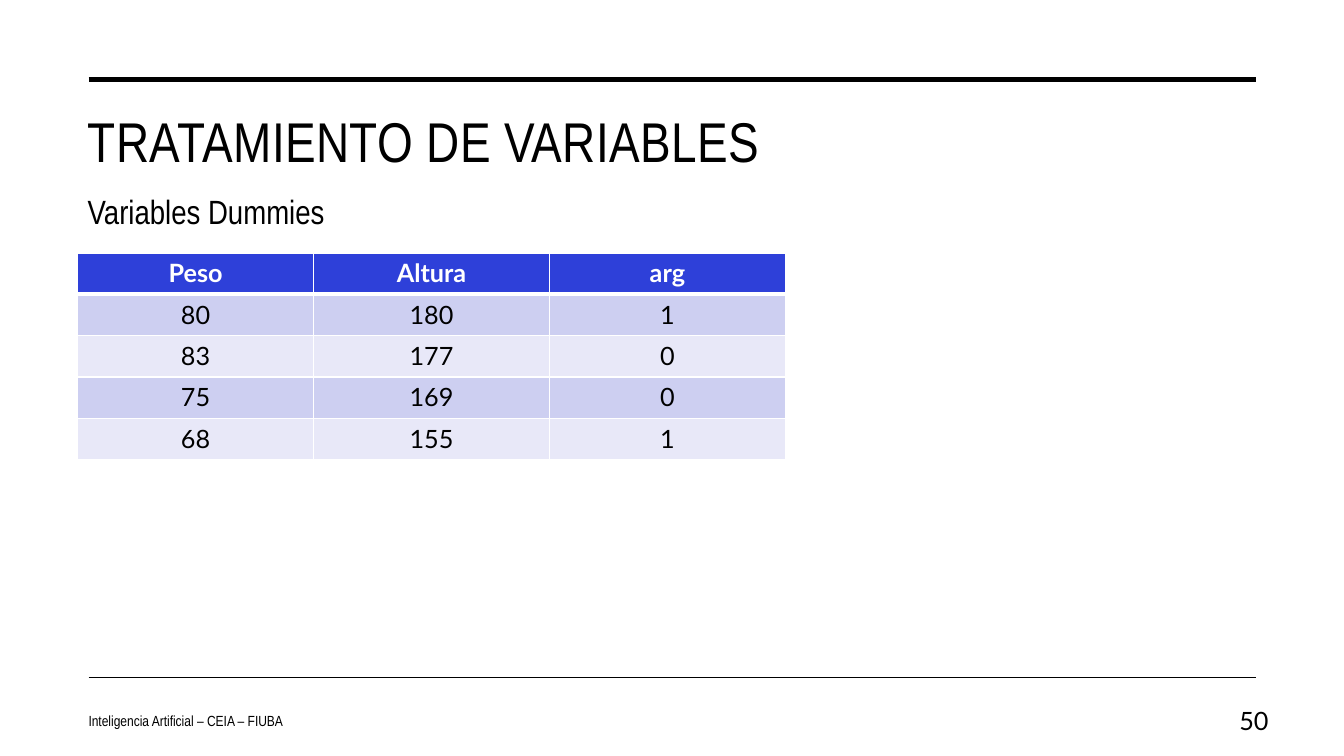
"""Build the slide about dummy variables with its data table."""
from dataclasses import dataclass

from lxml.etree import SubElement
from pptx import Presentation
from pptx.dml.color import RGBColor
from pptx.enum.shapes import MSO_CONNECTOR
from pptx.enum.text import MSO_ANCHOR, PP_ALIGN
from pptx.oxml.ns import qn
from pptx.slide import Slide
from pptx.table import _Cell
from pptx.util import Inches, Pt

BLACK, WHITE = "000000", "FFFFFF"
HEADER_FILL, BAND_FILLS = "2E40D9", ("CDCFF1", "E8E8F8")
NARROW, LATO = "Arial Narrow", "Lato"
COLUMN_WIDTH, ROW_HEIGHT = 2.34, 0.41
MEASUREMENTS = [
    ("Peso", "Altura", "arg"),
    ("80", "180", "1"),
    ("83", "177", "0"),
    ("75", "169", "0"),
    ("68", "155", "1"),
]


@dataclass
class Rule:
    top: float
    weight: float


@dataclass
class Label:
    text: str
    left: float
    top: float
    width: float
    height: float
    size: float
    font: str = NARROW
    align: PP_ALIGN = PP_ALIGN.LEFT
    anchor: MSO_ANCHOR = MSO_ANCHOR.MIDDLE
    space_after: float = 0


RULES = [Rule(0.79, 3.5), Rule(6.72, 1)]
LABELS = [
    Label("Inteligencia Artificial – CEIA – FIUBA", 0.78, 6.95, 4.96, 0.4, 10.5, space_after=6),
    Label("50", 11.94, 6.95, 0.74, 0.4, 18, LATO, PP_ALIGN.RIGHT),
    Label("Variables Dummies", 0.77, 1.84, 8.41, 0.5, 24, anchor=MSO_ANCHOR.TOP),
]


def rgb(value: str) -> RGBColor:
    return RGBColor.from_string(value)


def style(paragraph, font: str, size: float, colour: str, bold: bool = False) -> None:
    paragraph.font.name = font
    paragraph.font.size = Pt(size)
    paragraph.font.bold = bold
    paragraph.font.color.rgb = rgb(colour)


def draw_rule(slide: Slide, rule: Rule) -> None:
    line = slide.shapes.add_connector(
        MSO_CONNECTOR.STRAIGHT, Inches(0.88), Inches(rule.top), Inches(12.46), Inches(rule.top))
    line.line.color.rgb = rgb(BLACK)
    line.line.width = Pt(rule.weight)
    SubElement(line._element.spPr, qn("a:effectLst"))


def draw_title(slide: Slide, text: str) -> None:
    title = slide.shapes.title
    title.left, title.top = Inches(0.77), Inches(1.01)
    title.width, title.height = Inches(11.69), Inches(1.5)
    frame = title.text_frame
    frame.text = text
    frame.word_wrap = True
    frame.vertical_anchor = MSO_ANCHOR.TOP
    heading = frame.paragraphs[0]
    heading.alignment = PP_ALIGN.LEFT
    style(heading, NARROW, 40, BLACK)
    heading.runs[0].font._element.set("spc", "30")


def draw_label(slide: Slide, label: Label) -> None:
    frame = slide.shapes.add_textbox(
        Inches(label.left), Inches(label.top), Inches(label.width), Inches(label.height)).text_frame
    frame.word_wrap = True
    frame.vertical_anchor = label.anchor
    frame.text = label.text
    paragraph = frame.paragraphs[0]
    paragraph.alignment = label.align
    paragraph.space_after = Pt(label.space_after)
    style(paragraph, label.font, label.size, BLACK)


def set_borders(cell: _Cell, top: float, bottom: float) -> None:
    properties = cell._tc.get_or_add_tcPr()
    for side, weight in (("L", 1), ("R", 1), ("T", top), ("B", bottom)):
        border = SubElement(properties, qn(f"a:ln{side}"), w=str(Pt(weight)))
        SubElement(SubElement(border, qn("a:solidFill")), qn("a:srgbClr"), val=WHITE)


def draw_table(slide: Slide, rows: list[tuple[str, ...]]) -> None:
    columns = len(rows[0])
    table = slide.shapes.add_table(
        len(rows), columns, Inches(0.77), Inches(2.51),
        Inches(COLUMN_WIDTH * columns), Inches(ROW_HEIGHT * len(rows))).table
    for column in table.columns:
        column.width = Inches(COLUMN_WIDTH)
    for index, values in enumerate(rows):
        header = index == 0
        table.rows[index].height = Inches(ROW_HEIGHT)
        for position, value in enumerate(values):
            cell = table.cell(index, position)
            set_borders(cell, top=3 if index == 1 else 1, bottom=3 if header else 1)
            cell.fill.solid()
            cell.fill.fore_color.rgb = rgb(HEADER_FILL if header else BAND_FILLS[(index - 1) % 2])
            cell.text = value
            paragraph = cell.text_frame.paragraphs[0]
            paragraph.alignment = PP_ALIGN.CENTER
            style(paragraph, LATO, 18, WHITE if header else BLACK, header)


def main() -> None:
    deck = Presentation()
    deck.slide_width, deck.slide_height = Inches(13.33), Inches(7.5)
    slide = deck.slides.add_slide(deck.slide_layouts[5])
    for rule in RULES:
        draw_rule(slide, rule)
    draw_title(slide, "TRATAMIENTO DE VARIABLES")
    for label in LABELS:
        draw_label(slide, label)
    draw_table(slide, MEASUREMENTS)
    deck.save("out.pptx")


if __name__ == "__main__":
    main()
